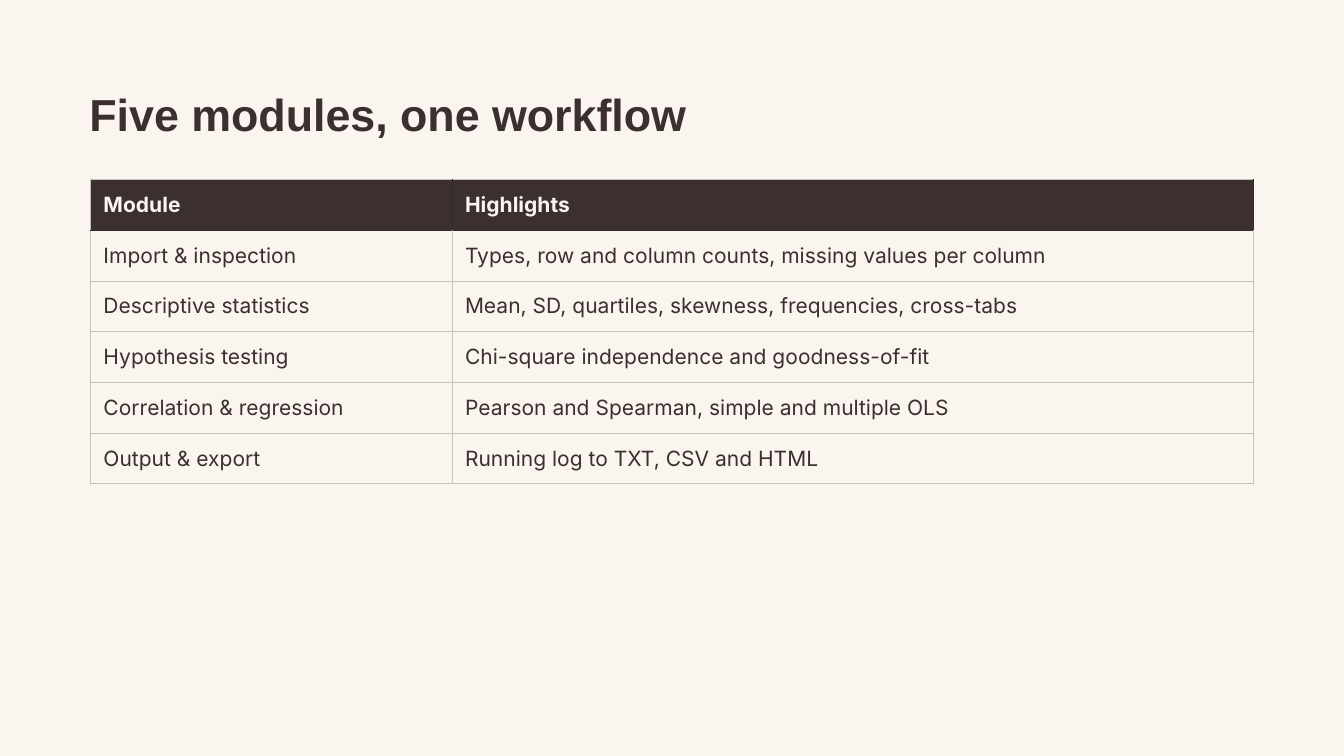
import pptx
import pptx.dml.color
import pptx.enum.text
import pptx.oxml.ns
import pptx.util
from lxml import etree

Inches = pptx.util.Inches
Pt = pptx.util.Pt

ROWS = [
    ("Module", "Highlights"),
    ("Import & inspection", "Types, row and column counts, missing values per column"),
    ("Descriptive statistics", "Mean, SD, quartiles, skewness, frequencies, cross-tabs"),
    ("Hypothesis testing", "Chi-square independence and goodness-of-fit"),
    ("Correlation & regression", "Pearson and Spearman, simple and multiple OLS"),
    ("Output & export", "Running log to TXT, CSV and HTML"),
]


def color(code):
    return pptx.dml.color.RGBColor.from_string(code)


def assign(item, values):
    for name, value in values.items():
        setattr(item, name, value)


class Deck:
    paper = "FAF5EF"
    ink = "3B2F2F"
    edge = "322929"
    rule = "C7C4BF"

    def __init__(self, slide):
        self.slide = slide
        fill = slide.background.fill
        fill.solid()
        fill.fore_color.rgb = color(self.paper)

    def label(self, frame, text, face, size, tint, bold, line):
        para = frame.paragraphs[0]
        para.line_spacing = Pt(line)
        run = para.add_run()
        run.text = text
        assign(run.font, {"name": face, "size": Pt(size), "bold": bold})
        run.font.color.rgb = color(tint)

    def title(self, text, left, top, width, height):
        box = self.slide.shapes.add_textbox(
            Inches(left), Inches(top), Inches(width), Inches(height))
        frame = box.text_frame
        sides = ("left", "top", "right", "bottom")
        assign(frame, {f"margin_{side}": 0 for side in sides})
        frame.word_wrap = True
        self.label(frame, text, "Arial", 48, self.ink, True, 52.8)

    def border(self, cell, tints):
        props = cell._tc.get_or_add_tcPr()
        for side, tint in tints.items():
            line = etree.SubElement(props, pptx.oxml.ns.qn(f"a:ln{side}"), w=str(Pt(1)))
            fill = etree.SubElement(line, pptx.oxml.ns.qn("a:solidFill"))
            etree.SubElement(fill, pptx.oxml.ns.qn("a:srgbClr"), val=tint)

    def cell(self, cell, text, row, col):
        head = row == 0
        pad = Inches(0.19)
        assign(cell, {
            "margin_left": pad, "margin_right": pad,
            "margin_top": pad, "margin_bottom": pad,
            "vertical_anchor": pptx.enum.text.MSO_ANCHOR.MIDDLE,
        })
        self.border(cell, {
            "L": self.edge if head and col else self.rule,
            "R": self.edge if head else self.rule,
            "T": self.edge if row == 1 else self.rule,
            "B": self.edge if head else self.rule,
        })
        if head:
            cell.fill.solid()
            cell.fill.fore_color.rgb = color(self.ink)
        else:
            cell.fill.background()
        tint = self.paper if head else self.ink
        self.label(cell.text_frame, text, "Inter", 22.5, tint, head, 27)

    def table(self, rows, left, top, widths, height):
        table = self.slide.shapes.add_table(
            len(rows), len(widths), Inches(left), Inches(top),
            Inches(sum(widths)), Inches(height * len(rows))).table
        table.horz_banding = False
        for column, width in zip(table.columns, widths):
            column.width = Inches(width)
        for r, texts in enumerate(rows):
            table.rows[r].height = Inches(height)
            for c, text in enumerate(texts):
                self.cell(table.cell(r, c), text, r, c)


def main():
    show = pptx.Presentation()
    assign(show, {"slide_width": Inches(20), "slide_height": Inches(11.25)})
    deck = Deck(show.slides.add_slide(show.slide_layouts[6]))
    deck.title("Five modules, one workflow", 1.33, 1.36, 17.85, 0.74)
    deck.table(ROWS, 1.35, 2.67, (5.38, 11.92), 0.75)
    show.save("out.pptx")


if __name__ == "__main__":
    main()
